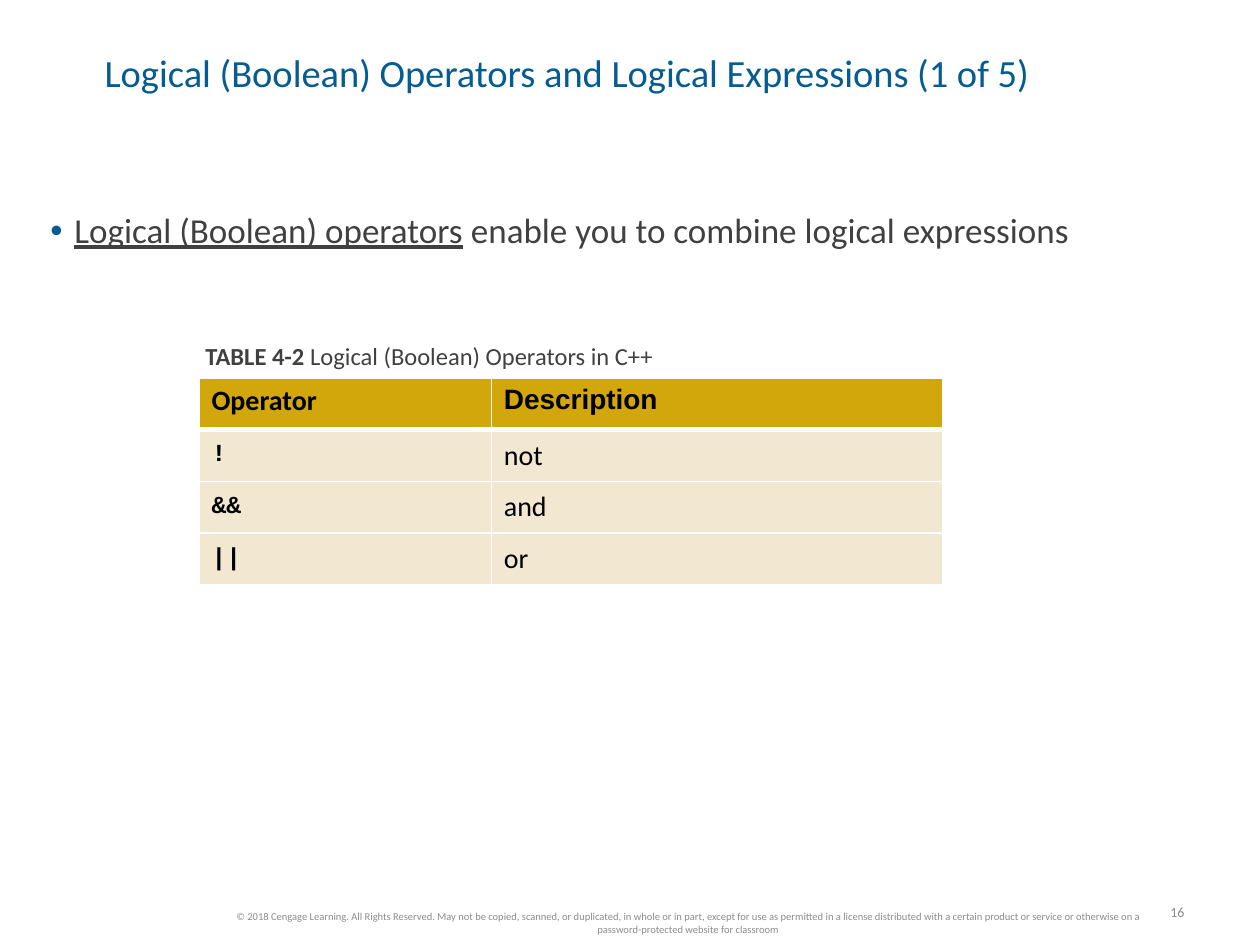
from lxml.etree import SubElement
from pptx import Presentation
from pptx.dml.color import RGBColor
from pptx.enum.text import MSO_ANCHOR, MSO_AUTO_SIZE, PP_ALIGN
from pptx.oxml import parse_xml
from pptx.oxml.ns import nsdecls, qn
from pptx.util import Inches, Pt

BLUE, GREY, PALE_GREY = "055C91", "404040", "8C8C8C"
BLACK, WHITE, GOLD, CREAM = "000000", "FFFFFF", "D1A70C", "F2E7D0"

COPYRIGHT = (
    "© 2018 Cengage Learning. All Rights Reserved. May not be copied, scanned, "
    "or duplicated, in whole or in part, except for use as permitted in a license "
    "distributed with a certain product or service or otherwise on a "
    "password-protected website for classroom"
)
OPERATORS = [("Operator", "Description"), ("!", "not"), ("&&", "and"), ("||", "or")]
COLUMN_WIDTHS = (2.32, 3.58)
ROW_HEIGHT = 0.41


def color(value):
    return RGBColor.from_string(value)


def style(font, size, value, name="Calibri", bold=None):
    font.size, font.name, font.bold = Pt(size), name, bold
    font.color.rgb = color(value)


def place(shape, left, top, width, height):
    shape.left, shape.top = Inches(left), Inches(top)
    shape.width, shape.height = Inches(width), Inches(height)


def set_frame(shape, margin=None, anchor=MSO_ANCHOR.TOP, wrap=True):
    """Prepare the text frame and return its first paragraph."""
    frame = shape.text_frame
    frame.word_wrap, frame.auto_size = wrap, MSO_AUTO_SIZE.NONE
    frame.vertical_anchor = anchor
    if margin is not None:
        frame.margin_left = frame.margin_right = Inches(margin)
        frame.margin_top = frame.margin_bottom = Inches(margin)
    return frame.paragraphs[0]


def add_text_box(slide, box, **frame_options):
    shape = slide.shapes.add_textbox(*(Inches(length) for length in box))
    return set_frame(shape, **frame_options)


def add_runs(paragraph, *texts):
    runs = [paragraph.add_run() for _ in texts]
    for run, text in zip(runs, texts):
        run.text = text
    return runs


def set_bullet(paragraph, indent, value):
    properties = paragraph._p.get_or_add_pPr()
    properties.set("marL", str(Inches(indent)))
    properties.set("indent", str(-Inches(indent)))
    bullet_color = SubElement(properties, qn("a:buClr"))
    SubElement(bullet_color, qn("a:srgbClr"), val=value)
    SubElement(properties, qn("a:buChar"), char="•")


def fill_title(slide):
    title = slide.shapes.title
    place(title, 0.83, 0.44, 8.78, 0.32)
    paragraph = set_frame(title, margin=0, anchor=MSO_ANCHOR.MIDDLE)
    add_runs(paragraph, "Logical (Boolean) Operators and Logical Expressions (1 of 5)")
    paragraph.alignment, paragraph.line_spacing = PP_ALIGN.LEFT, 0.85
    style(paragraph.font, 22, BLUE)


def fill_body(slide):
    body = slide.placeholders[1]
    place(body, 0.4, 1.68, 9.2, 0.32)
    paragraph = set_frame(body, margin=0)
    set_bullet(paragraph, 0.19, BLUE)
    paragraph.line_spacing, paragraph.space_before = 0.95, Pt(0)
    term, _ = add_runs(paragraph, "Logical (Boolean) operators",
                       " enable you to combine logical expressions")
    style(paragraph.font, 20, GREY)
    term.font.underline = True


def add_caption(slide):
    paragraph = add_text_box(slide, (1.58, 2.67, 7.6, 0.32), margin=0.05)
    paragraph.line_spacing = 0.95
    label, _ = add_runs(paragraph, "TABLE 4-2 ", "Logical (Boolean) Operators in C++")
    style(paragraph.font, 14, GREY)
    label.font.bold = True


def set_borders(cell, top, bottom):
    properties = cell._tc.get_or_add_tcPr()
    widths = {"lnL": 1, "lnR": 1, "lnT": top, "lnB": bottom}
    for position, (side, width) in enumerate(widths.items()):
        properties.insert(position, parse_xml(
            f'<a:{side} {nsdecls("a")} w="{Pt(width)}"><a:solidFill>'
            f'<a:srgbClr val="{WHITE}"/></a:solidFill></a:{side}>'))


def cell_font(row, column):
    """Size, name and weight: bold headings, code operators, plain descriptions."""
    if row == 0:
        return 16, ("Calibri", "Arial")[column], True
    return (14, "Courier New", True) if column == 0 else (16, "Calibri", False)


def add_operator_table(slide):
    row_count = len(OPERATORS)
    table = slide.shapes.add_table(
        row_count, len(COLUMN_WIDTHS), Inches(1.58), Inches(3),
        Inches(sum(COLUMN_WIDTHS)), Inches(ROW_HEIGHT * row_count)).table
    for column, width in zip(table.columns, COLUMN_WIDTHS):
        column.width = Inches(width)
    for row, texts in enumerate(OPERATORS):
        table.rows[row].height = Inches(ROW_HEIGHT)
        for column, text in enumerate(texts):
            cell = table.cell(row, column)
            cell.fill.solid()
            cell.fill.fore_color.rgb = color(CREAM if row else GOLD)
            cell.vertical_anchor = MSO_ANCHOR.MIDDLE if row else MSO_ANCHOR.TOP
            set_borders(cell, top=3 if row == 1 else 1, bottom=1 if row else 3)
            cell.text = text
            size, name, bold = cell_font(row, column)
            style(cell.text_frame.paragraphs[0].font, size, BLACK, name, bold)


def add_footer(slide):
    paragraph = add_text_box(slide, (1.75, 7.19, 7.42, 0.27), anchor=MSO_ANCHOR.MIDDLE)
    add_runs(paragraph, COPYRIGHT)
    paragraph.alignment = PP_ALIGN.CENTER
    style(paragraph.font, 6, PALE_GREY)


def add_slide_number(slide, number):
    paragraph = add_text_box(slide, (9.16, 7.12, 0.34, 0.24),
                             anchor=MSO_ANCHOR.MIDDLE, wrap=False)
    add_runs(paragraph, str(number))
    paragraph.alignment = PP_ALIGN.RIGHT
    style(paragraph.font, 8, PALE_GREY)


def main():
    presentation = Presentation()
    presentation.slide_width, presentation.slide_height = Inches(10), Inches(7.5)
    slide = presentation.slides.add_slide(presentation.slide_layouts[1])

    # Title and definition
    fill_title(slide)
    fill_body(slide)

    # Table of operators
    add_caption(slide)
    add_operator_table(slide)

    # Copyright line and page number
    add_footer(slide)
    add_slide_number(slide, 16)

    presentation.save("out.pptx")


if __name__ == "__main__":
    main()
